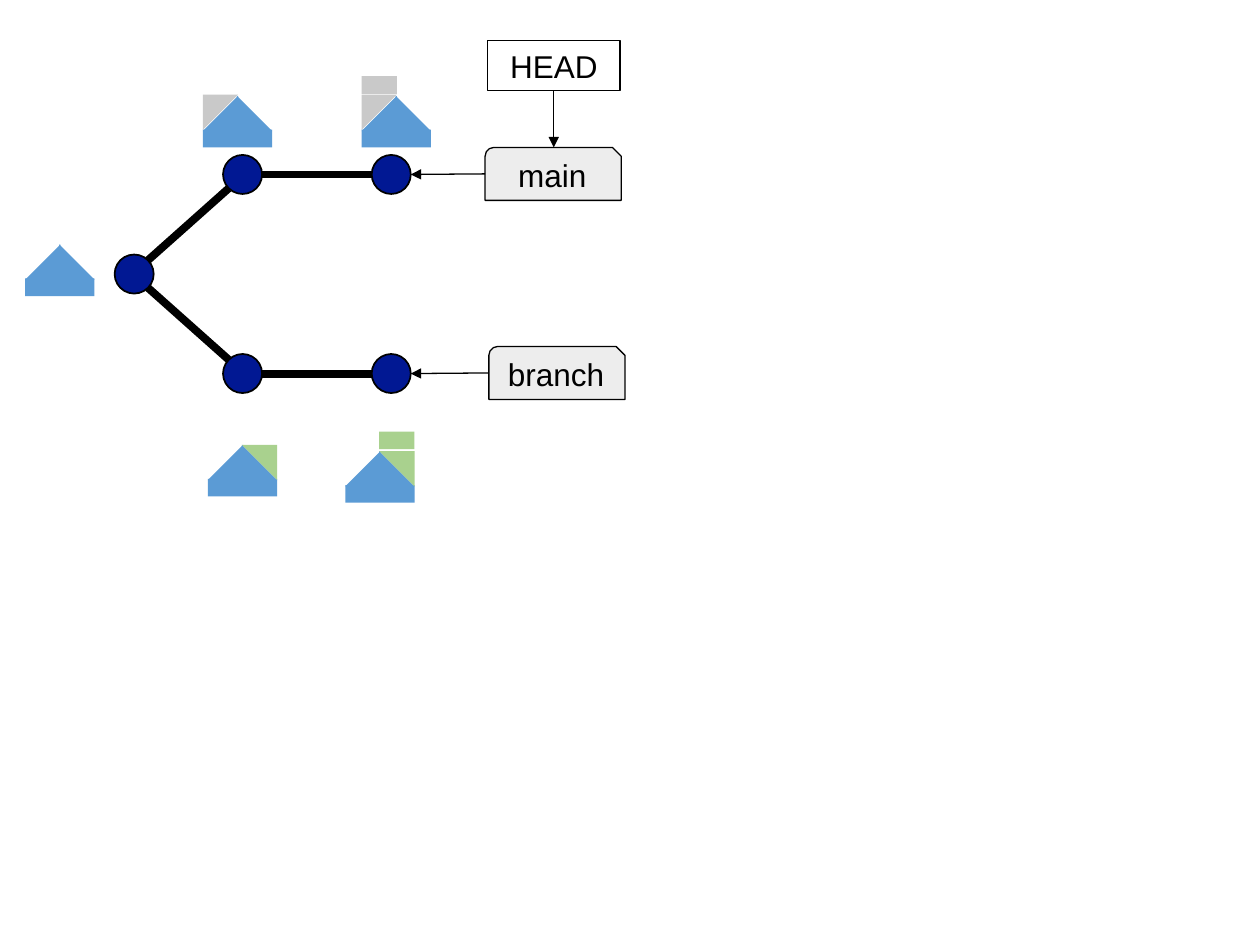
from dataclasses import dataclass

from lxml import etree
from pptx import Presentation
from pptx.dml.color import RGBColor
from pptx.enum.shapes import MSO_CONNECTOR, MSO_SHAPE
from pptx.enum.text import MSO_ANCHOR, PP_ALIGN
from pptx.oxml.ns import qn
from pptx.util import Inches, Pt

RECT, OVAL = MSO_SHAPE.RECTANGLE, MSO_SHAPE.OVAL
WEDGE, TAG = MSO_SHAPE.RIGHT_TRIANGLE, MSO_SHAPE.SNIP_ROUND_RECTANGLE
LINE = MSO_CONNECTOR.STRAIGHT
MIDDLE, CENTER = MSO_ANCHOR.MIDDLE, PP_ALIGN.CENTER

BLACK = RGBColor(0x00, 0x00, 0x00)
NAVY = RGBColor(0x01, 0x18, 0x93)
BLUE = RGBColor(0x5B, 0x9B, 0xD5)
GREEN = RGBColor(0xA9, 0xD1, 0x8E)
GRAY = RGBColor(0xC9, 0xC9, 0xC9)
PALE = RGBColor(0xED, 0xED, 0xED)
WHITE = RGBColor(0xFF, 0xFF, 0xFF)

HALF, WALL = 0.28, 0.14  # roof half and wall height
SHIFT = 0.27  # offset of the right half
SIZE = 0.31  # commit diameter


@dataclass
class House:
    x: float
    y: float
    fill: RGBColor | None = None  # colour of the added parts
    floor: bool = False  # whether a storey sits on top


@dataclass
class Node:
    x: float
    y: float

    def edge(self, dx: int, dy: int) -> tuple[float, float]:
        """Point on the rim in the direction (dx, dy)."""
        rad = SIZE / 2
        step = rad / (dx * dx + dy * dy) ** 0.5
        return self.x + rad + dx * step, self.y + rad + dy * step


@dataclass
class Label:
    text: str
    kind: int
    x: float
    y: float
    w: float
    h: float
    fill: RGBColor


HOUSES = [
    House(0.2, 1.94),
    House(1.61, 0.76, GRAY),
    House(2.87, 0.76, GRAY, True),
    House(1.65, 3.53, GREEN),
    House(2.74, 3.58, GREEN, True),
]
ROOT = Node(0.91, 2.02)
TOP = [Node(x, 1.23) for x in (1.77, 2.95)]
LOW = [Node(x, 2.81) for x in (1.77, 2.95)]
MAIN = Label("main", TAG, 3.85, 1.17, 1.08, 0.42, PALE)
BRANCH = Label("branch", TAG, 3.88, 2.75, 1.08, 0.42, PALE)
HEAD = Label("HEAD", RECT, 3.87, 0.32, 1.05, 0.4, WHITE)


def block(shapes, kind: int, x: float, y: float, w: float, h: float,
          fill: RGBColor, turn: int = 0, line: float = 0):
    shape = shapes.add_shape(kind, Inches(x), Inches(y), Inches(w), Inches(h))
    shape.shadow.inherit = False
    shape.rotation = turn
    shape.fill.solid()
    shape.fill.fore_color.rgb = fill
    if line:
        shape.line.color.rgb = BLACK
        shape.line.width = Pt(line)
    else:
        shape.line.fill.background()
    return shape


def house(shapes, item: House) -> None:
    x, y = item.x, item.y
    left = item.fill == GRAY
    side = x if left else x + SHIFT
    if left:
        block(shapes, WEDGE, side, y - 0.01, HALF, HALF, GRAY, 90)
    base = shapes.add_group_shape().shapes
    block(base, RECT, x, y + SHIFT, 0.55, WALL, BLUE)
    block(base, WEDGE, x, y, HALF, HALF, BLUE, 270)
    block(base, WEDGE, x + SHIFT, y, HALF, HALF, BLUE)
    if item.fill and not left:
        block(shapes, WEDGE, side, y, HALF, HALF, item.fill, 180)
    if item.floor:
        block(shapes, RECT, side, y - 0.155, HALF, WALL, item.fill)


def label(shapes, item: Label):
    shape = block(shapes, item.kind, item.x, item.y, item.w, item.h,
                  item.fill, line=0.75)
    frame = shape.text_frame
    frame.text = item.text
    frame.vertical_anchor = MIDDLE
    para = frame.paragraphs[0]
    para.alignment = CENTER
    font = para.runs[0].font
    font.name, font.size = "Arial", Pt(18)
    font.color.rgb = BLACK
    return shape


def link(shapes, start: tuple[float, float], end: tuple[float, float],
         width: float = 4.5, arrow: bool = False):
    line = shapes.add_connector(LINE, *(Inches(v) for v in start + end))
    line.line.color.rgb = BLACK
    line.line.width = Pt(width)
    if arrow:
        tail = etree.SubElement(line.line._get_or_add_ln(), qn("a:tailEnd"))
        tail.set("type", "triangle")
    etree.SubElement(line._element.spPr, qn("a:effectLst"))
    return line


def main() -> None:
    deck = Presentation()
    deck.slide_width, deck.slide_height = Inches(10), Inches(7.5)
    shapes = deck.slides.add_slide(deck.slide_layouts[6]).shapes

    # Project state at each commit
    for item in HOUSES:
        house(shapes, item)

    # Commits and their history
    for node in [ROOT, *TOP, *LOW]:
        block(shapes, OVAL, node.x, node.y, SIZE, SIZE, NAVY, line=1)
    for row, dy in ((TOP, -1), (LOW, 1)):
        link(shapes, ROOT.edge(1, dy), row[0].edge(-1, -dy))
        link(shapes, row[0].edge(1, 0), row[1].edge(-1, 0))

    # Branch names, each pointing to its last commit
    for item, node in ((MAIN, TOP[1]), (BRANCH, LOW[1])):
        label(shapes, item)
        link(shapes, (item.x, item.y + item.h / 2), node.edge(1, 0),
             0.75, True)

    # HEAD points to main
    head = label(shapes, HEAD)
    mid = HEAD.x + HEAD.w / 2
    arrow = link(shapes, (mid, HEAD.y + HEAD.h), (mid, MAIN.y), 0.75, True)
    arrow.begin_connect(head, 2)

    deck.save("out.pptx")


if __name__ == "__main__":
    main()
